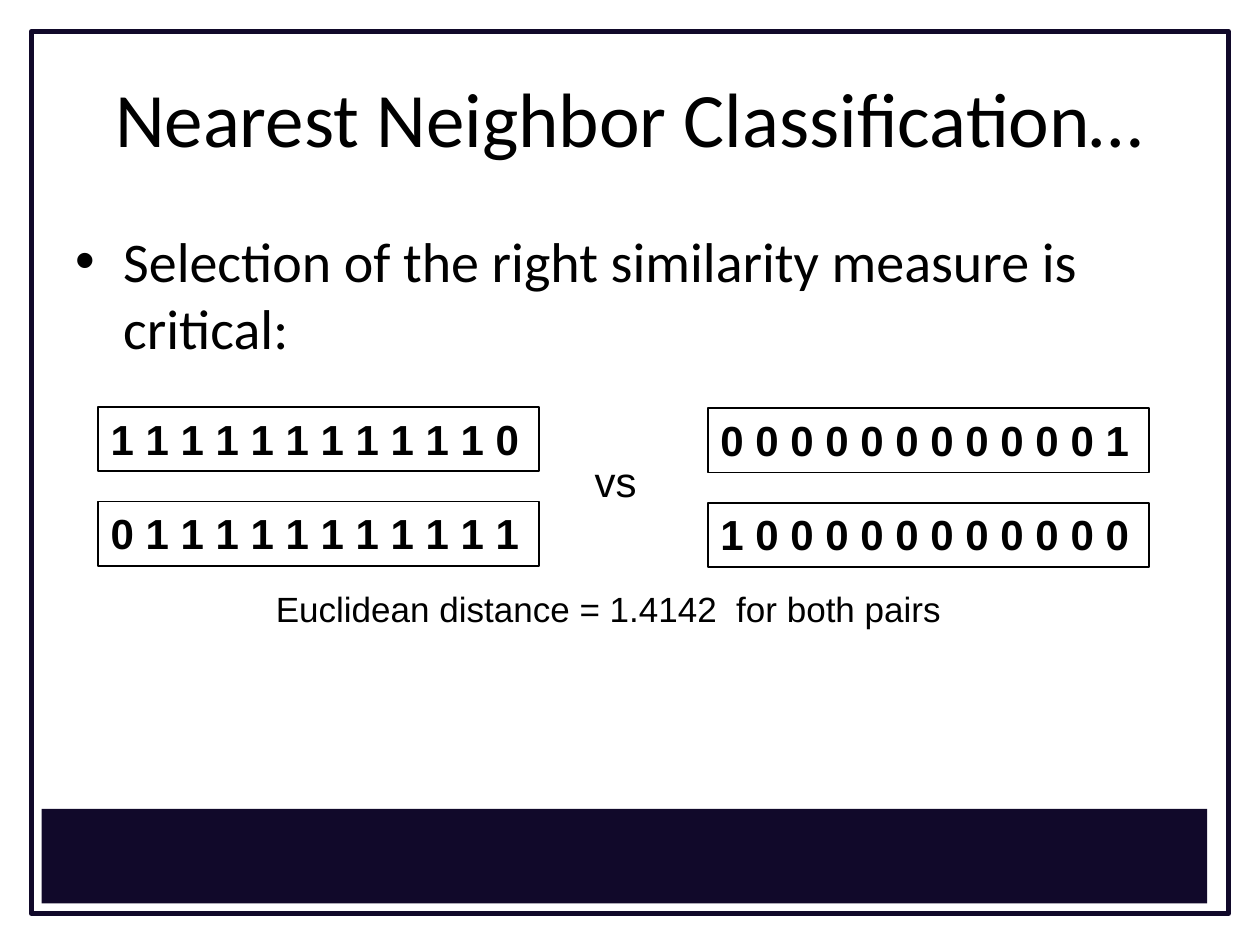
from lxml.etree import SubElement
from pptx import Presentation
from pptx.dml.color import RGBColor
from pptx.enum.shapes import MSO_SHAPE
from pptx.enum.text import MSO_ANCHOR, PP_ALIGN
from pptx.oxml.ns import qn
from pptx.util import Inches, Pt

TITLE = "Nearest Neighbor Classification…"
BULLET = "Selection of the right similarity measure is critical:"
NAVY, BLACK = "11092A", "000000"
PAIRS = [
    (0.78, 3.23, ["1 1 1 1 1 1 1 1 1 1 1 0", "0 1 1 1 1 1 1 1 1 1 1 1"]),
    (5.62, 3.24, ["0 0 0 0 0 0 0 0 0 0 0 1", "1 0 0 0 0 0 0 0 0 0 0 0"]),
]
ROW_STEP = 0.75
LABELS = [
    ("vs", (4.62, 3.57, 0.61, 0.67), 24),
    ("Euclidean distance = 1.4142  for both pairs", (2.09, 4.61, 6.08, 0.44), 20),
]


def color(value):
    return RGBColor.from_string(value)


def write(sp, text, size, font="Arial", bold=False, align=PP_ALIGN.LEFT,
          anchor=MSO_ANCHOR.TOP, bullet=None):
    tf = sp.text_frame
    tf.word_wrap = True
    tf.vertical_anchor = anchor
    p = tf.paragraphs[0]
    p.alignment = align
    if bullet:
        pPr = p._p.get_or_add_pPr()
        pPr.set("marL", str(Inches(0.38)))
        pPr.set("indent", str(-Inches(0.38)))
        SubElement(pPr, qn("a:buFont"), typeface="Arial")
        SubElement(pPr, qn("a:buChar"), char=bullet)
    r = p.add_run()
    r.text = text
    r.font.name, r.font.size, r.font.bold = font, Pt(size), bold
    r.font.color.rgb = color(BLACK)


def add_rect(s, box, fill=None, line=None, width=1):
    sp = s.shapes.add_shape(MSO_SHAPE.RECTANGLE, *map(Inches, box))
    sp.shadow.inherit = False
    if fill:
        sp.fill.solid()
        sp.fill.fore_color.rgb = color(fill)
    else:
        sp.fill.background()
    if line:
        sp.line.color.rgb = color(line)
        sp.line.width = Pt(width)
    else:
        sp.line.fill.background()
    return sp


def add_text(s, box, text, size, **fmt):
    write(s.shapes.add_textbox(*map(Inches, box)), text, size, **fmt)


prs = Presentation()
prs.slide_width, prs.slide_height = Inches(10), Inches(7.5)
s = prs.slides.add_slide(prs.slide_layouts[5])

add_rect(s, (0.25, 0.25, 9.5, 7), line=NAVY, width=3)
add_rect(s, (0.33, 6.42, 9.25, 0.75), fill=NAVY)

title = s.shapes.title
title.left, title.top, title.width, title.height = map(Inches, (0.5, 0.3, 9, 1.25))
write(title, TITLE, 44, font="Calibri", align=PP_ALIGN.CENTER, anchor=MSO_ANCHOR.MIDDLE)
add_text(s, (0.5, 1.75, 9, 4.5), BULLET, 32, font="Calibri", bullet="•")

for left, top, vectors in PAIRS:
    for row, vector in enumerate(vectors):
        sp = add_rect(s, (left, top + row * ROW_STEP, 3.5, 0.51), line=BLACK)
        write(sp, vector, 24, bold=True)

for text, box, size in LABELS:
    add_text(s, box, text, size)

prs.save("out.pptx")
